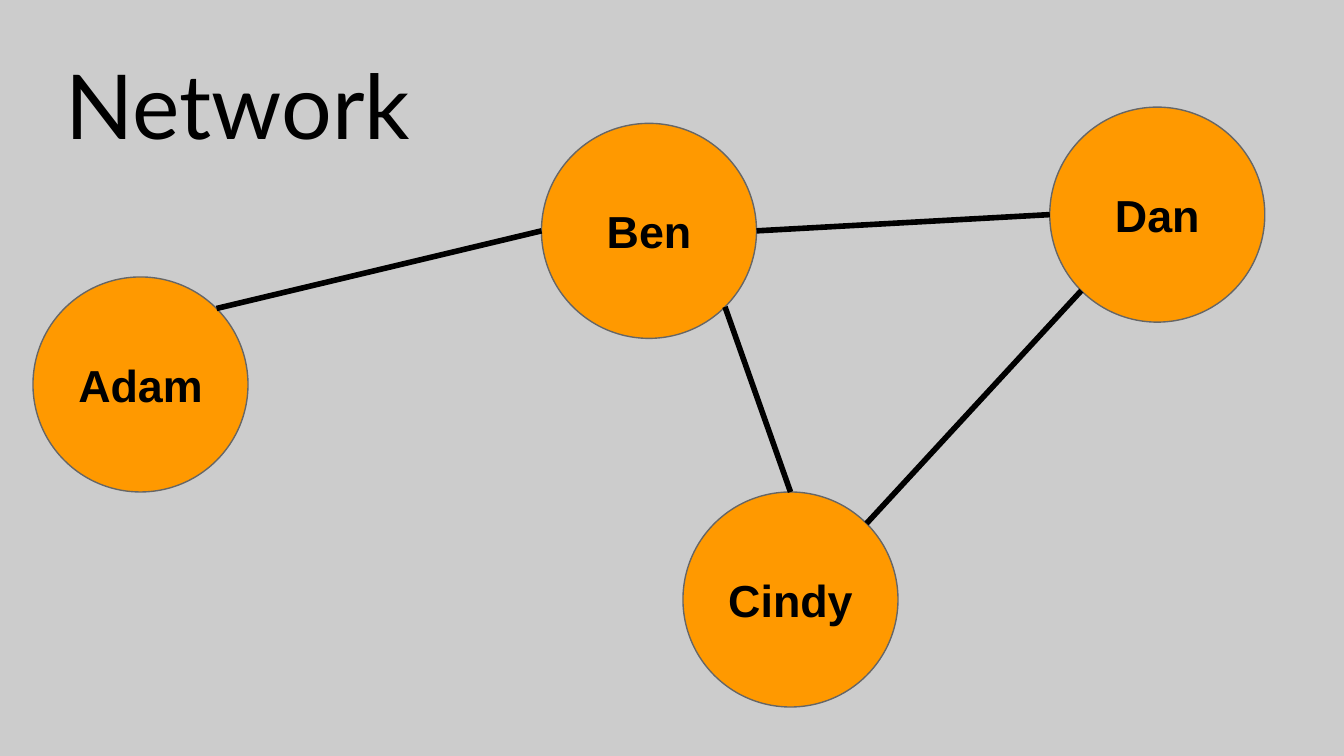
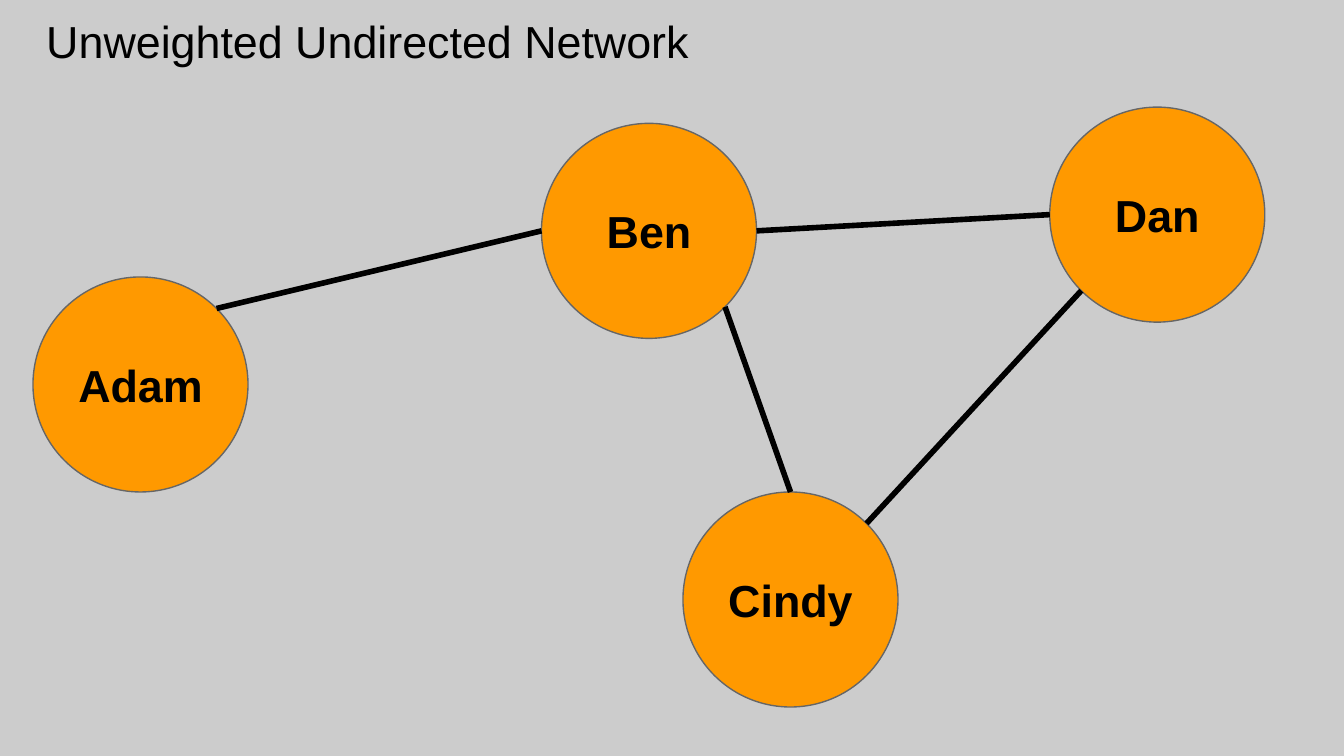
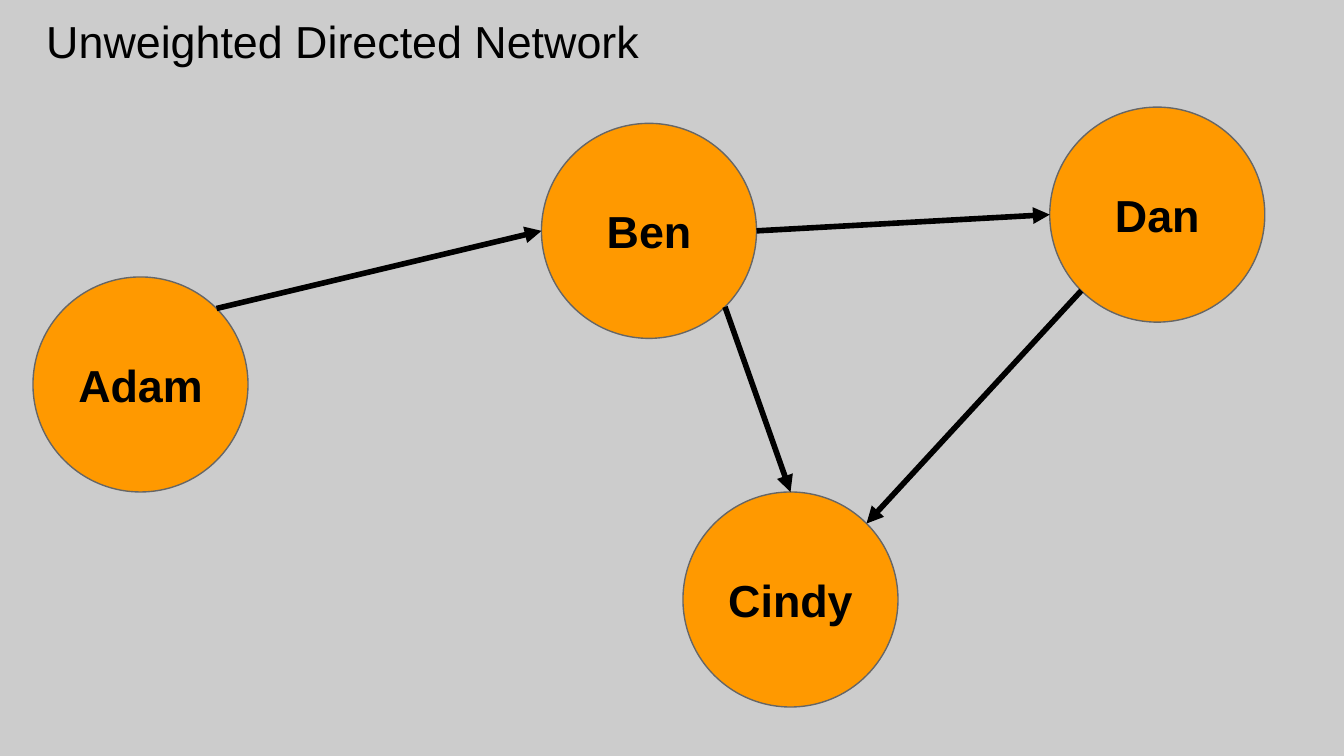
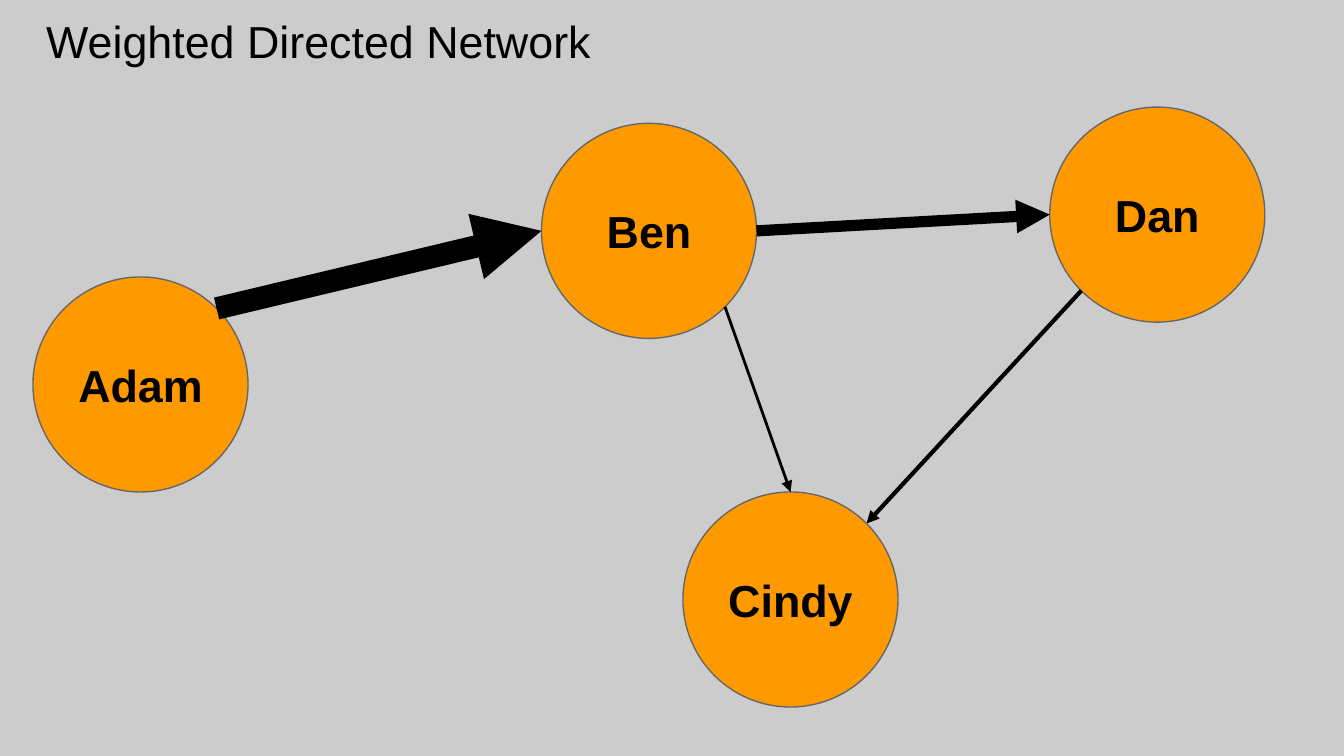
from math import cos, radians, sin

from lxml import etree
from pptx import Presentation
from pptx.dml.color import RGBColor
from pptx.enum import shapes, text
from pptx.oxml import ns
from pptx.util import Pt

# Content: people with the left and top of their circles
PEOPLE = {
    "Adam": (17.7, 148.4),
    "Ben": (290.1, 66.1),
    "Cindy": (365.9, 263.6),
    "Dan": (562.4, 57.4),
}

# Ellipse connection sites, counted anticlockwise from the top
TOP, LEFT, BOTTOM_LEFT, BOTTOM_RIGHT, RIGHT, TOP_RIGHT = 0, 2, 3, 5, 6, 7

# Who is tied to whom, and at which sites
TIES = [
    ("Adam", TOP_RIGHT, "Ben", LEFT),
    ("Ben", RIGHT, "Dan", LEFT),
    ("Ben", BOTTOM_RIGHT, "Cindy", TOP),
    ("Dan", BOTTOM_LEFT, "Cindy", TOP_RIGHT),
]

EQUAL_WEIGHTS = [3, 3, 3, 3]
HEADING = {"left": 17.7, "top": 0, "size": 24, "font": "Arial"}
COVER_HEADING = {"left": 28, "top": 19.4, "size": 48, "font": "Lato"}

NETWORKS = [
    {"title": "Network", "heading": COVER_HEADING,
     "weights": EQUAL_WEIGHTS, "directed": False},
    {"title": "Unweighted Undirected Network", "heading": HEADING,
     "weights": EQUAL_WEIGHTS, "directed": False},
    {"title": "Unweighted Directed Network", "heading": HEADING,
     "weights": EQUAL_WEIGHTS, "directed": True},
    {"title": "Weighted Directed Network", "heading": HEADING,
     "weights": [12, 6, 1.5, 2.25], "directed": True},
]

# Shared look
GREY = RGBColor(0xCC, 0xCC, 0xCC)
ORANGE = RGBColor(0xFF, 0x99, 0x00)
OUTLINE = RGBColor(0x66, 0x66, 0x66)
BLACK = RGBColor(0, 0, 0)
DIAMETER = 115.2
INSET = 7.2


def write(shape, words, *, size=24, font="Arial", bold=False,
          align=text.PP_ALIGN.LEFT, anchor=text.MSO_ANCHOR.TOP):
    frame = shape.text_frame
    frame.word_wrap = True
    frame.vertical_anchor = anchor
    frame.margin_left = frame.margin_right = Pt(INSET)
    frame.margin_top = frame.margin_bottom = Pt(INSET)
    para = frame.paragraphs[0]
    para.alignment = align
    span = para.add_run()
    span.text = words
    span.font.size = Pt(size)
    span.font.name = font
    span.font.bold = bold
    span.font.color.rgb = BLACK


def add_heading(page, words, *, left, top, size, font):
    box = page.shapes.add_textbox(Pt(left), Pt(top), Pt(366.5), Pt(51))
    write(box, words, size=size, font=font)


def add_person(page, name):
    left, top = PEOPLE[name]
    circle = page.shapes.add_shape(
        shapes.MSO_SHAPE.OVAL, Pt(left), Pt(top), Pt(DIAMETER), Pt(DIAMETER))
    circle.shadow.inherit = False
    circle.fill.solid()
    circle.fill.fore_color.rgb = ORANGE
    circle.line.color.rgb = OUTLINE
    circle.line.width = Pt(0.75)
    write(circle, name, bold=True, align=text.PP_ALIGN.CENTER,
          anchor=text.MSO_ANCHOR.MIDDLE)
    return circle


def site_point(name, site):
    left, top = PEOPLE[name]
    radius = DIAMETER / 2
    angle = radians(90 + 45 * site)
    return (Pt(left + radius + radius * cos(angle)),
            Pt(top + radius - radius * sin(angle)))


def add_tie(page, circles, tie, *, weight, directed):
    source, source_site, target, target_site = tie
    connector = page.shapes.add_connector(
        shapes.MSO_CONNECTOR.STRAIGHT,
        *site_point(source, source_site), *site_point(target, target_site))
    connector.line.color.rgb = BLACK
    connector.line.width = Pt(weight)
    if directed:
        etree.SubElement(connector.line._get_or_add_ln(),
                         ns.qn("a:tailEnd"), type="triangle")
    etree.SubElement(connector._element.spPr, ns.qn("a:effectLst"))

    # Join the ends to the circles, which have eight sites each
    joints = connector._element.nvCxnSpPr.cNvCxnSpPr
    for tag, name, site in (("a:stCxn", source, source_site),
                            ("a:endCxn", target, target_site)):
        etree.SubElement(joints, ns.qn(tag),
                         id=str(circles[name].shape_id), idx=str(site))


def prepare_master(deck):
    """Keep only a bare blank layout on a grey master."""
    master, blank = deck.slide_master, deck.slide_layouts[6]
    for layout in list(deck.slide_layouts):
        if layout != blank:
            deck.slide_layouts.remove(layout)
    for sheet in (master, blank):
        for placeholder in list(sheet.placeholders):
            sheet.shapes._spTree.remove(placeholder._element)
    backdrop = master.background.fill
    backdrop.solid()
    backdrop.fore_color.rgb = GREY
    return blank


def main():
    deck = Presentation()
    deck.slide_width, deck.slide_height = Pt(720), Pt(405)
    blank = prepare_master(deck)

    for network in NETWORKS:
        page = deck.slides.add_slide(blank)
        circles = {name: add_person(page, name) for name in PEOPLE}
        add_heading(page, network["title"], **network["heading"])
        for tie, weight in zip(TIES, network["weights"]):
            add_tie(page, circles, tie, weight=weight,
                    directed=network["directed"])

    deck.save("out.pptx")


if __name__ == "__main__":
    main()
